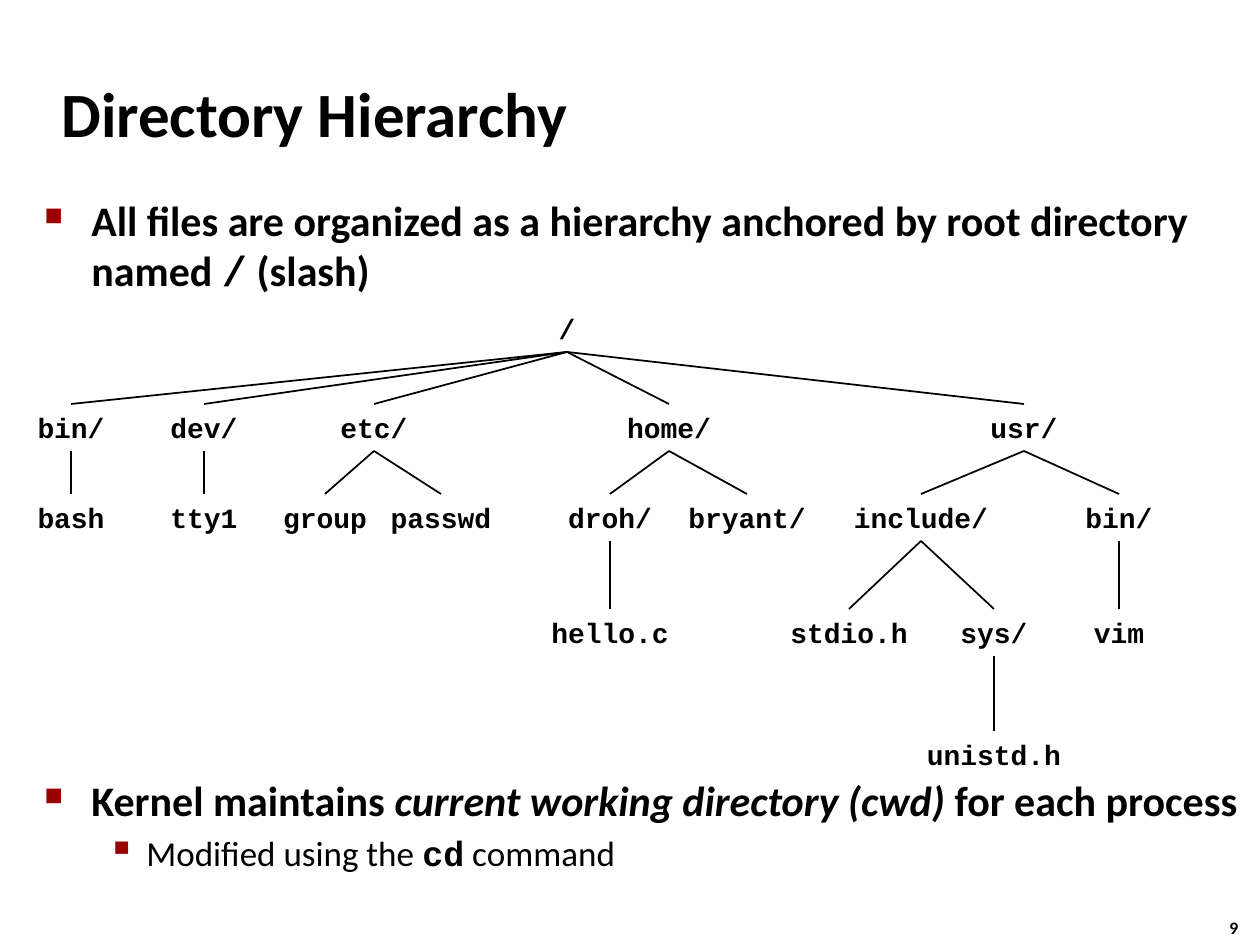
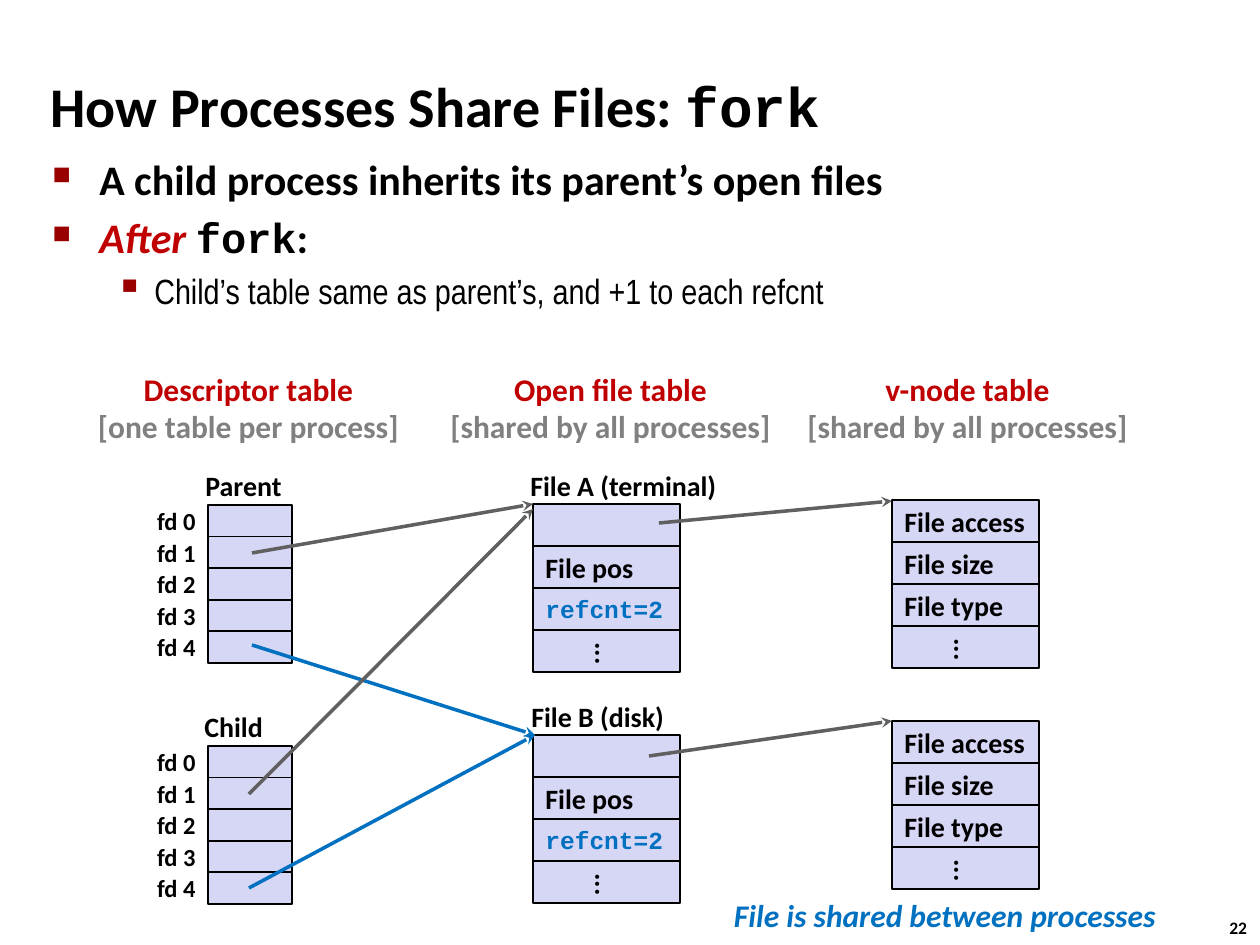
from dataclasses import dataclass

from lxml import etree
from pptx import Presentation
from pptx.dml.color import RGBColor
from pptx.enum.shapes import MSO_CONNECTOR, MSO_SHAPE
from pptx.enum.text import MSO_ANCHOR, PP_ALIGN
from pptx.oxml.ns import qn
from pptx.util import Emu, Pt

RECTANGLE = MSO_SHAPE.RECTANGLE
STRAIGHT = MSO_CONNECTOR.STRAIGHT
TOP, MIDDLE = MSO_ANCHOR.TOP, MSO_ANCHOR.MIDDLE
LEFT, CENTER, RIGHT = PP_ALIGN.LEFT, PP_ALIGN.CENTER, PP_ALIGN.RIGHT
EMU_PER_PX = 914400 / 126


@dataclass(frozen=True)
class Theme:
    black: str = "000000"
    red: str = "C00000"
    bullet: str = "990000"
    blue: str = "0070C0"
    gray: str = "808080"
    arrow: str = "606060"
    cell: str = "D6D6F5"
    sans: str = "Calibri"
    mono: str = "Courier New"
    narrow: str = "Arial Narrow"
    title: int = 36
    long_title: int = 32
    body: int = 24
    detail: int = 20
    heading: int = 18
    label: int = 16
    small: int = 14
    page: int = 10


THEME = Theme()

BULLETS = (
    {"char": "■", "size": "60000", "margin": 47, "hanging": 47, "space": 4.8},
    {"char": "▪", "size": "110000", "margin": 102, "hanging": 39, "space": 4},
)

TREE = ("/", 543, [
    ("bin/", 47, [("bash", 47, [])]),
    ("dev/", 180, [("tty1", 180, [])]),
    ("etc/", 350, [("group", 301, []), ("passwd", 417, [])]),
    ("home/", 645, [
        ("droh/", 586, [("hello.c", 586, [])]),
        ("bryant/", 723, []),
    ]),
    ("usr/", 1000, [
        ("include/", 897, [
            ("stdio.h", 825, []),
            ("sys/", 970, [("unistd.h", 970, [])]),
        ]),
        ("bin/", 1095, [("vim", 1095, [])]),
    ]),
])
TREE_ROWS = (0, 99, 189, 304, 426)
LABEL_HEIGHT = 47


def px(length):
    return Emu(round(length * EMU_PER_PX))


def run(text, size, color=THEME.black, name=THEME.sans, bold=True, italic=False):
    return text, color, {"size": Pt(size), "name": name, "bold": bold, "italic": italic}


def write(shape, paragraphs, align=LEFT, anchor=TOP, wrap=False):
    frame = shape.text_frame
    for name, value in {"word_wrap": wrap, "vertical_anchor": anchor}.items():
        setattr(frame, name, value)
    for index, runs in enumerate(paragraphs):
        paragraph = frame.add_paragraph() if index else frame.paragraphs[0]
        paragraph.alignment = align
        for text, color, formats in runs:
            piece = paragraph.add_run()
            piece.text = text
            piece.font.color.rgb = RGBColor.from_string(color)
            for name, value in formats.items():
                setattr(piece.font, name, value)
    return frame


def add_text(slide, box, paragraphs, **options):
    shape = slide.shapes.add_textbox(*map(px, box))
    return write(shape, paragraphs, **options)


def add_line(slide, start, end, color=THEME.black, width=1, arrow=False):
    connector = slide.shapes.add_connector(STRAIGHT, *map(px, start + end))
    connector.line.color.rgb = RGBColor.from_string(color)
    connector.line.width = Pt(width)
    properties = connector.element.spPr
    if arrow:
        etree.SubElement(properties.find(qn("a:ln")), qn("a:tailEnd"), type="stealth")
    etree.SubElement(properties, qn("a:effectLst"))


def add_bullets(slide, box, items):
    frame = add_text(slide, box, [runs for _, runs in items], wrap=True)
    for paragraph, (level, _) in zip(frame.paragraphs, items):
        bullet = BULLETS[level]
        paragraph.level = level
        paragraph.space_before = Pt(bullet["space"])
        properties = paragraph._p.get_or_add_pPr()
        properties.set("marL", str(px(bullet["margin"])))
        properties.set("indent", str(px(-bullet["hanging"])))
        color = etree.SubElement(properties, qn("a:buClr"))
        etree.SubElement(color, qn("a:srgbClr"), val=THEME.bullet)
        etree.SubElement(properties, qn("a:buSzPct"), val=bullet["size"])
        etree.SubElement(properties, qn("a:buChar"), char=bullet["char"])


def add_page(presentation, title_position, title, number):
    slide = presentation.slides.add_slide(presentation.slide_layouts[6])
    add_text(slide, (*title_position, 1046, 105), [title], anchor=MIDDLE, wrap=True)
    add_text(slide, (1217, 911, 47, 34), [[run(number, THEME.page)]])
    return slide


def add_tree(slide, origin, node, depth=0):
    left, top = origin
    name, center, children = node
    label_top = top + TREE_ROWS[depth]
    width = 17 * len(name) + 25
    add_text(slide, (left + center - width / 2, label_top, width, LABEL_HEIGHT),
             [[run(name, THEME.label, name=THEME.mono)]], align=CENTER)
    for child in children:
        add_line(slide, (left + center, label_top + LABEL_HEIGHT),
                 (left + child[1], top + TREE_ROWS[depth + 1]))
        add_tree(slide, origin, child, depth + 1)


def add_cells(slide, box, rows):
    left, top, width, height = box
    step = height / len(rows)
    for index, runs in enumerate(rows):
        cell = slide.shapes.add_shape(
            RECTANGLE, *map(px, (left, top + index * step, width, step)))
        cell.shadow.inherit = False
        cell.fill.solid()
        cell.fill.fore_color.rgb = RGBColor.from_string(THEME.cell)
        cell.line.color.rgb = RGBColor.from_string(THEME.black)
        cell.line.width = Pt(1)
        write(cell, [runs], anchor=MIDDLE)
        if runs and runs[0][0] == "...":
            cell.element.txBody.bodyPr.set("vert", "eaVert")


def add_caption(slide, box, text):
    add_text(slide, box, [[run(text, THEME.label)]], anchor=MIDDLE)


def add_descriptors(slide, box, caption, caption_box):
    left, top, width, height = box
    count = 5
    step = height / count
    add_cells(slide, box, [[]] * count)
    for index in range(count):
        add_text(slide, (left - width, top + index * step, width, step),
                 [[run(f"fd {index}", THEME.small)]], align=RIGHT, anchor=MIDDLE)
    add_caption(slide, caption_box, caption)


def add_open_file(slide, box, caption, caption_box):
    add_cells(slide, box, [
        [],
        [run("File pos", THEME.label)],
        [run("refcnt=2", THEME.small, THEME.blue, THEME.mono)],
        [run("...", THEME.label)],
    ])
    add_caption(slide, caption_box, caption)


def add_vnode(slide, box):
    names = ("File access", "File size", "File type", "...")
    add_cells(slide, box, [[run(name, THEME.label)] for name in names])


def add_table_headings(slide, top, height):
    headings = (
        (84, 329, "Descriptor table", "[one table per process]"),
        (436, 349, "Open file table", "[shared by all processes]"),
        (793, 349, "v-node table", "[shared by all processes]"),
    )
    for left, width, name, scope in headings:
        add_text(slide, (left, top, width, height), [
            [run(name, THEME.heading, THEME.red)],
            [run(scope, THEME.heading, THEME.gray)],
        ], align=CENTER, anchor=MIDDLE)


def add_pointers(slide):
    pointers = (
        ((252, 553), (533, 504), THEME.arrow),
        ((252, 645), (535, 735), THEME.blue),
        ((659, 523), (892, 501), THEME.arrow),
        ((649, 756), (892, 721), THEME.arrow),
        ((249, 794), (533, 509), THEME.arrow),
        ((249, 888), (535, 735), THEME.blue),
    )
    for start, end, color in pointers:
        add_line(slide, start, end, color, width=2, arrow=True)


def build_hierarchy(presentation):
    slide = add_page(presentation, (49, 60),
                     [run("Directory Hierarchy", THEME.title)], "9")
    add_bullets(slide, (32, 188, 1226, 115), [
        (0, [run("All files are organized as a hierarchy anchored by root directory named ",
                 THEME.body),
             run("/", THEME.body, name=THEME.mono),
             run(" (slash)", THEME.body)]),
    ])
    add_bullets(slide, (32, 768, 1226, 120), [
        (0, [run("Kernel maintains ", THEME.body),
             run("current working directory (cwd) ", THEME.body, italic=True),
             run("for each process", THEME.body)]),
        (1, [run("Modified using the ", THEME.detail, bold=False),
             run("cd", THEME.detail, name=THEME.mono),
             run(" command", THEME.detail, bold=False)]),
    ])
    add_tree(slide, (24, 305), TREE)


def build_fork(presentation):
    slide = add_page(presentation, (38, 53), [
        run("How Processes Share Files: ", THEME.long_title),
        run("fork", THEME.long_title, name=THEME.mono),
    ], "22")
    add_bullets(slide, (40, 147, 1145, 179), [
        (0, [run("A child process inherits its parent’s open files", THEME.body)]),
        (0, [run("After ", THEME.body, THEME.red, italic=True),
             run("fork", THEME.body, name=THEME.mono),
             run(":", THEME.body)]),
        (1, [run("Child’s table same as parent’s, and +1 to each refcnt",
                 THEME.detail, name=THEME.narrow, bold=False)]),
    ])
    add_table_headings(slide, 363, 89)
    add_descriptors(slide, (208, 505, 84, 158), "Parent", (193, 462, 102, 47))
    add_descriptors(slide, (208, 746, 84, 158), "Child", (192, 703, 84, 47))
    add_open_file(slide, (533, 504, 147, 168), "File A (terminal)", (518, 462, 213, 47))
    add_open_file(slide, (533, 735, 147, 168), "File B (disk)", (519, 693, 160, 47))
    for top in (500, 721):
        add_vnode(slide, (892, top, 147, 168))
    add_pointers(slide)
    add_text(slide, (719, 890, 452, 50), [
        [run("File is shared between processes", THEME.heading, THEME.blue, italic=True)],
    ], align=CENTER, anchor=MIDDLE)


def main():
    presentation = Presentation()
    presentation.slide_width, presentation.slide_height = px(1260), px(945)
    build_hierarchy(presentation)
    build_fork(presentation)
    presentation.save("out.pptx")


if __name__ == "__main__":
    main()
